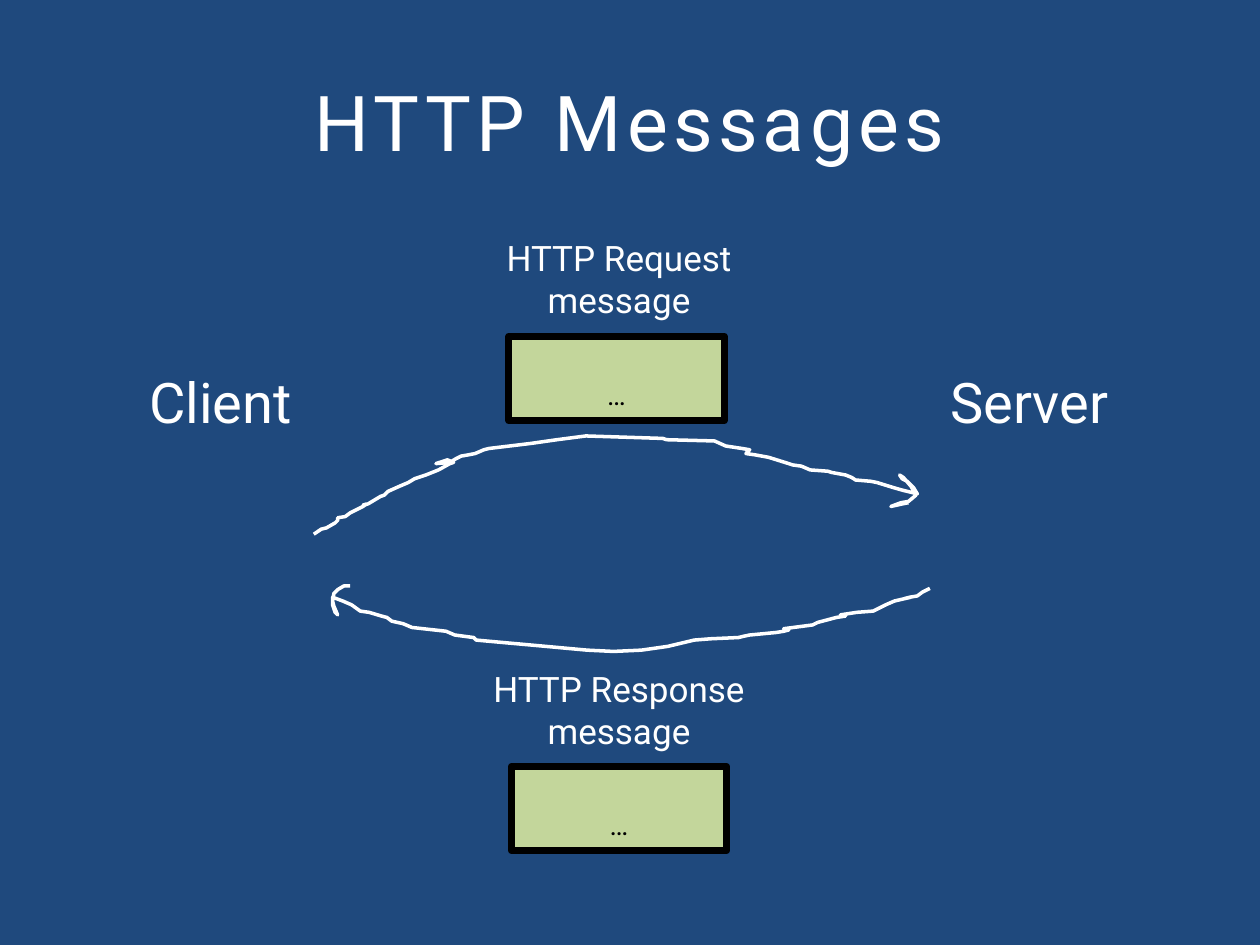
from pptx import Presentation
from pptx.dml.color import RGBColor
from pptx.enum.shapes import MSO_SHAPE
from pptx.enum.text import MSO_ANCHOR, PP_ALIGN
from pptx.util import Cm, Pt

ROUNDED = MSO_SHAPE.ROUNDED_RECTANGLE
CENTER = PP_ALIGN.CENTER
MIDDLE, BOTTOM = MSO_ANCHOR.MIDDLE, MSO_ANCHOR.BOTTOM
NAVY, WHITE, BLACK, GREEN = "1F497D", "FFFFFF", "000000", "C3D69B"
STROKE_UNIT = Cm(0.0254)  # the hand-drawn arrows use a fine grid

# Each hand-drawn arrow is one pen stroke, ending with its head
REQUEST_STROKE = [
    (249, 424), (255, 420), (259, 419), (266, 415), (268, 413), (268, 411),
    (274, 410), (278, 407), (288, 402), (291, 400), (288, 401), (292, 400),
    (302, 394), (305, 393), (308, 390), (317, 386), (324, 383), (329, 380),
    (338, 377), (348, 373), (357, 368), (360, 367), (355, 365), (346, 368),
    (357, 367), (362, 364), (366, 362), (372, 361), (377, 360), (384, 357),
    (388, 356), (421, 352), (442, 349), (465, 346), (526, 348), (529, 349),
    (567, 350), (576, 354), (589, 356), (595, 357), (592, 360), (599, 361),
    (610, 363), (626, 368), (629, 369), (636, 370), (643, 373), (657, 374),
    (660, 375), (671, 377), (676, 379), (679, 381), (691, 382), (696, 383),
    (709, 387), (716, 389), (728, 392), (725, 387), (720, 382), (716, 380),
    (714, 377), (717, 379), (723, 386), (727, 393), (721, 398), (715, 399),
    (707, 402), (716, 400), (721, 399),
]
RESPONSE_STROKE = [
    (738, 467), (732, 470), (728, 473), (722, 474), (718, 475), (723, 474),
    (710, 477), (703, 480), (693, 485), (680, 486), (667, 488), (671, 489),
    (664, 490), (649, 494), (645, 496), (622, 499), (626, 500), (622, 501),
    (616, 502), (595, 504), (590, 505), (586, 506), (564, 507), (551, 508),
    (530, 513), (509, 516), (487, 517), (466, 516), (444, 514), (422, 512),
    (400, 510), (378, 508), (376, 506), (361, 504), (354, 501), (327, 498),
    (320, 495), (311, 493), (307, 490), (303, 489), (293, 486), (286, 485),
    (279, 480), (272, 477), (264, 474), (264, 480), (266, 486), (268, 488),
    (265, 481), (264, 477), (265, 471), (268, 468), (273, 465), (278, 465),
]


def color(hex_string):
    return RGBColor.from_string(hex_string)


def write(shape, text, size, text_color):
    shape.text_frame.word_wrap = True
    paragraph = shape.text_frame.paragraphs[0]
    paragraph.text = text
    paragraph.alignment = CENTER
    paragraph.font.name = "Roboto"
    paragraph.font.size = Pt(size)
    paragraph.font.color.rgb = color(text_color)


presentation = Presentation()
presentation.slide_width, presentation.slide_height = Cm(25.4), Cm(19.05)
slide = presentation.slides.add_slide(presentation.slide_layouts[5])
slide.background.fill.solid()
slide.background.fill.fore_color.rgb = color(NAVY)

# Title with widely spaced letters
title = slide.shapes.title
title.left, title.top, title.width, title.height = Cm(1.27), Cm(0.84), Cm(22.86), Cm(3.18)
write(title, "HTTP Messages", 44, WHITE)
title.text_frame.vertical_anchor = MIDDLE
title_run = title.text_frame.paragraphs[0].runs[0]
title_run._r.get_or_add_rPr().set("spc", "300")

# Labels: text, left, top, width, size
labels = [
    ("Client", 2.01, 7.29, 4.88, 32),
    ("Server", 18.31, 7.29, 4.88, 32),
    ("HTTP Request message", 9.09, 4.65, 6.78, 20),
    ("HTTP Response message", 9.09, 13.33, 6.78, 20),
]
for text, left, top, width, size in labels:
    label = slide.shapes.add_textbox(Cm(left), Cm(top), Cm(width), Cm(1.47))
    write(label, text, size, WHITE)

# Message boxes
for left, top in [(10.26, 6.78), (10.31, 15.45)]:
    box = slide.shapes.add_shape(ROUNDED, Cm(left), Cm(top), Cm(4.34), Cm(1.7))
    box.adjustments[0] = 0
    box.shadow.inherit = False
    box.fill.solid()
    box.fill.fore_color.rgb = color(GREEN)
    box.line.color.rgb = color(BLACK)
    box.line.width = Pt(4)
    write(box, "…", 16, BLACK)
    box.text_frame.vertical_anchor = BOTTOM
    box.text_frame.margin_bottom = Cm(0.19)

# Hand-drawn arrows
for start, *points in [REQUEST_STROKE, RESPONSE_STROKE]:
    builder = slide.shapes.build_freeform(*start, scale=STROKE_UNIT)
    builder.add_line_segments(points, close=False)
    arrow = builder.convert_to_shape()
    arrow.shadow.inherit = False
    arrow.fill.background()
    arrow.line.color.rgb = color(WHITE)
    arrow.line.width = Pt(2)

presentation.save("out.pptx")
